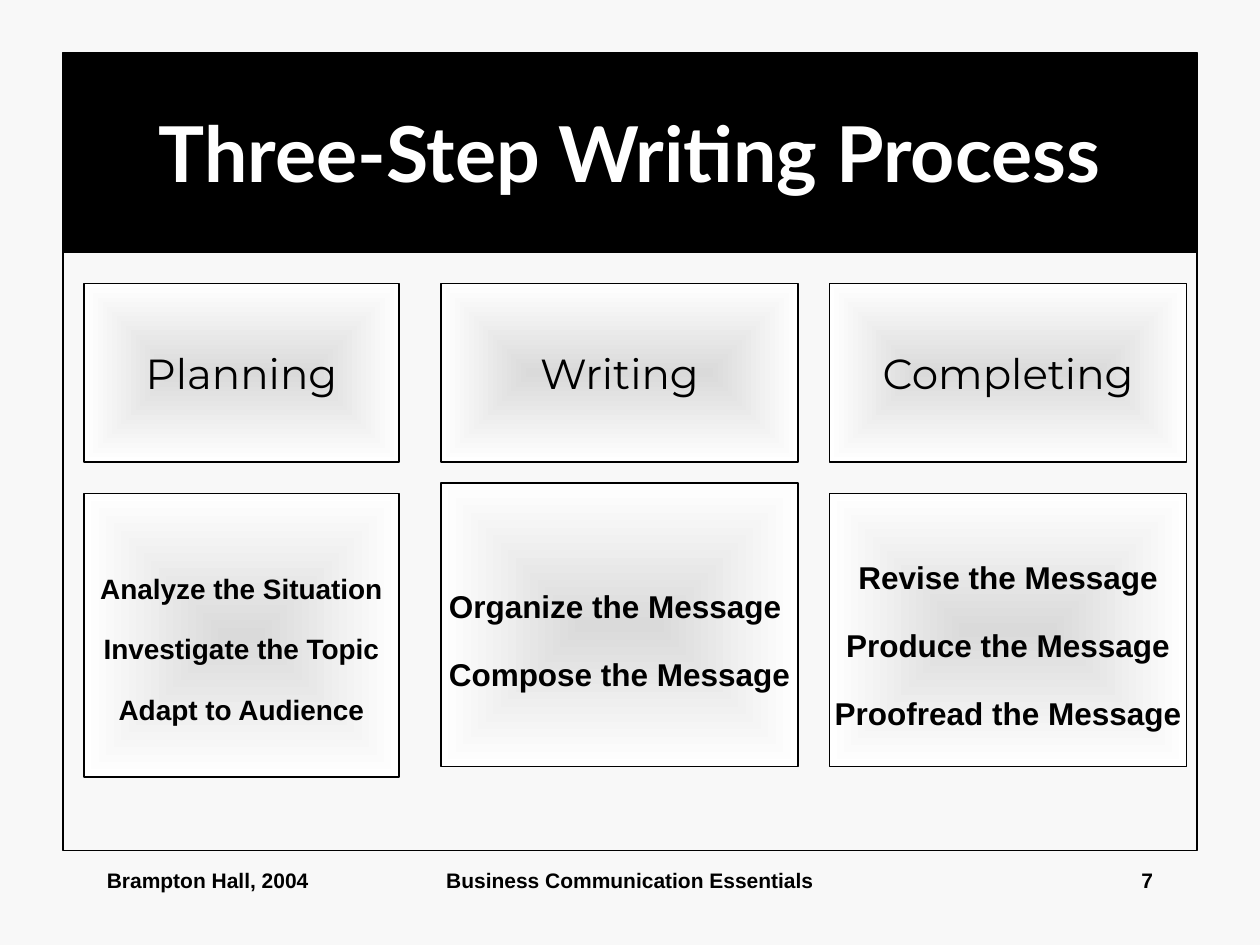
import pptx
import pptx.util
import pptx.dml.color
import pptx.enum.shapes
import pptx.enum.text
import pptx.oxml
import pptx.oxml.ns
from dataclasses import dataclass

PX = 7620
ALIGN = pptx.enum.text.PP_ALIGN
ANCHOR = pptx.enum.text.MSO_ANCHOR


@dataclass(frozen=True)
class Theme:
    back: str = "F8F8F8"
    ink: str = "000000"
    pale: str = "FFFFFF"
    core: str = "DADADA"
    head: str = "Lato"
    step: str = "Montserrat"
    body: str = "Arial"
    title: int = 44
    label: int = 24
    large: int = 18
    small: int = 16
    foot: int = 12
    line: float = 0.75
    lead: float = 1.8


THEME = Theme()


def hue(code):
    return pptx.dml.color.RGBColor.from_string(code)


def scale(box):
    return [value * PX for value in box]


def write(shape, text, size, font=THEME.body, color=THEME.ink, bold=True,
          align=ALIGN.CENTER, anchor=ANCHOR.MIDDLE, lead=None, wrap=False):
    frame = shape.text_frame
    frame.word_wrap = wrap
    frame.vertical_anchor = anchor
    for index, line in enumerate(text.split("\n")):
        para = frame.add_paragraph() if index else frame.paragraphs[0]
        para.alignment = align
        if lead:
            para.line_spacing = lead
        run = para.add_run()
        run.text = line
        run.font.name = font
        run.font.size = pptx.util.Pt(size)
        run.font.bold = bold
        run.font.color.rgb = hue(color)


def panel(slide, box, fill=None):
    shape = slide.shapes.add_shape(
        pptx.enum.shapes.MSO_SHAPE.RECTANGLE, *scale(box))
    shape.shadow.inherit = False
    shape.line.color.rgb = hue(THEME.ink)
    shape.line.width = pptx.util.Pt(THEME.line)
    if fill:
        shape.fill.solid()
        shape.fill.fore_color.rgb = hue(fill)
    else:
        shape.fill.background()
    return shape


def glow(slide, box):
    shape = panel(slide, box)
    shape.fill.gradient()
    for stop, color in zip(shape.fill.gradient_stops, (THEME.core, THEME.pale)):
        stop.color.rgb = hue(color)
    grad = shape.element.spPr.find(pptx.oxml.ns.qn("a:gradFill"))
    grad.remove(grad.find(pptx.oxml.ns.qn("a:lin")))
    grad.append(pptx.oxml.parse_xml(
        f'<a:path {pptx.oxml.ns.nsdecls("a")} path="rect">'
        '<a:fillToRect l="50000" t="50000" r="50000" b="50000"/></a:path>'))
    return shape


def header(slide, box):
    write(panel(slide, box, THEME.ink), "Three-Step Writing Process",
          THEME.title, font=THEME.head, color=THEME.pale, wrap=True)


def stage(slide, box, name, tasks, size, drop):
    left, top, width, height = box
    write(glow(slide, (left, top, width, 170)), name, THEME.label,
          font=THEME.step, bold=False)
    write(glow(slide, (left, top + drop, width, height - drop)), tasks, size,
          lead=THEME.lead)


def footer(slide, box):
    left, top, width, height = box
    parts = [
        (0, 250, "Brampton Hall, 2004", ALIGN.LEFT),
        (320, 380, "Business Communication Essentials", ALIGN.CENTER),
        (width - 250, 250, "7", ALIGN.RIGHT),
    ]
    for shift, span, text, align in parts:
        label = slide.shapes.add_textbox(
            *scale((left + shift, top, span, height)))
        write(label, text, THEME.foot, align=align, anchor=ANCHOR.TOP, wrap=True)


def main():
    deck = pptx.Presentation()
    deck.slide_width, deck.slide_height = scale((1200, 900))
    slide = deck.slides.add_slide(deck.slide_layouts[6])
    slide.background.fill.solid()
    slide.background.fill.fore_color.rgb = hue(THEME.back)

    panel(slide, (60, 240, 1080, 570))
    header(slide, (60, 50, 1080, 190))
    stages = [
        ((80, 270, 300, 470), "Planning",
         "Analyze the Situation\nInvestigate the Topic\nAdapt to Audience",
         THEME.small, 200),
        ((420, 270, 340, 460), "Writing",
         "Organize the Message \nCompose the Message", THEME.large, 190),
        ((790, 270, 340, 460), "Completing",
         "Revise the Message\nProduce the Message\nProofread the Message",
         THEME.large, 200),
    ]
    for part in stages:
        stage(slide, *part)
    footer(slide, (90, 820, 1020, 60))
    deck.save("out.pptx")


if __name__ == "__main__":
    main()
